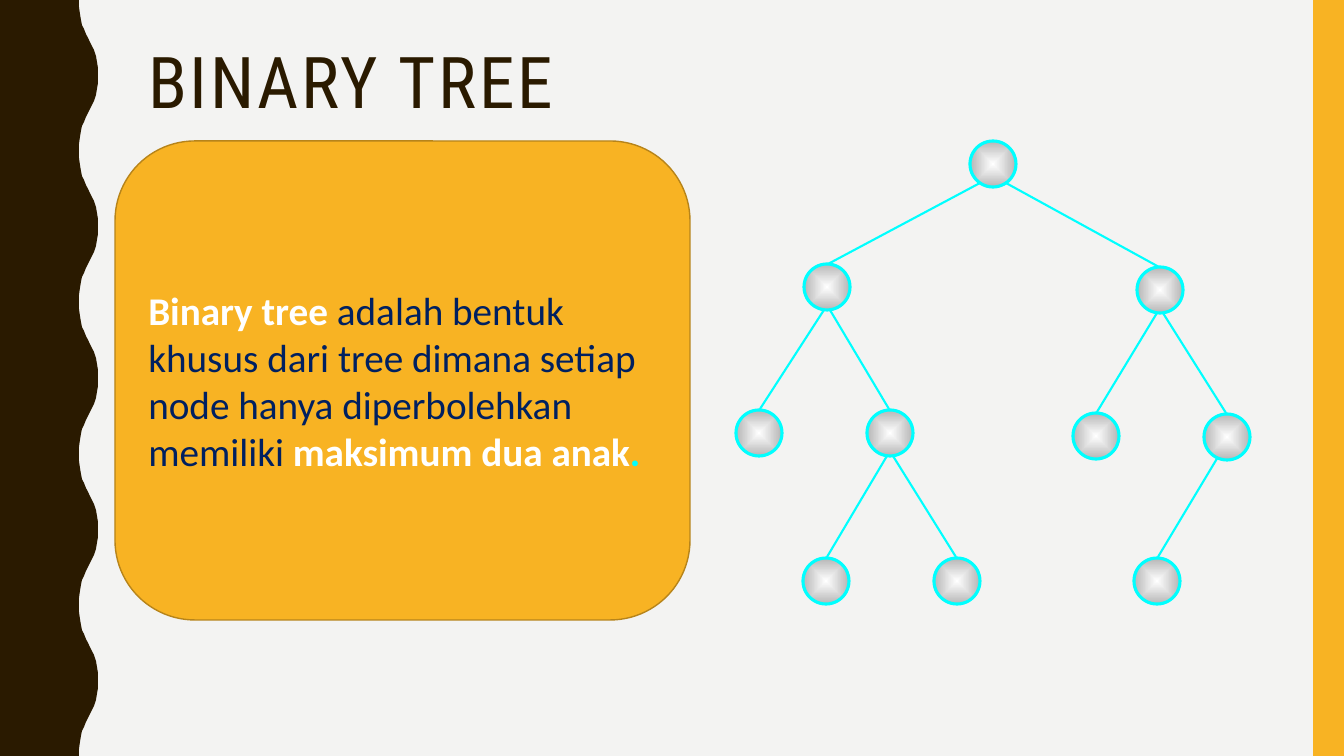
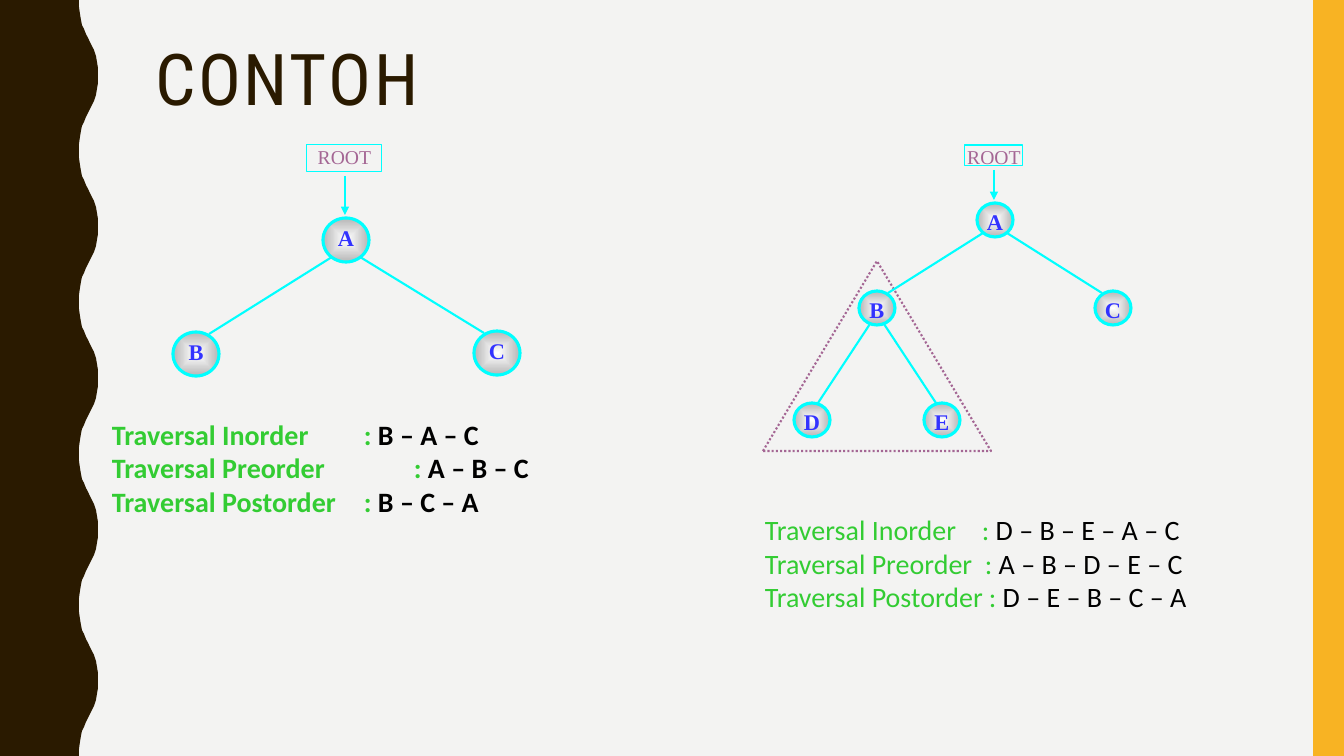
from lxml import etree
from pptx import Presentation
from pptx.dml.color import RGBColor
from pptx.enum.dml import MSO_LINE
from pptx.enum.shapes import MSO_CONNECTOR, MSO_SHAPE
from pptx.enum.text import MSO_ANCHOR, PP_ALIGN
from pptx.oxml.ns import qn
from pptx.util import Emu, Pt

OVAL, RECT, ROUNDED, TRIANGLE = (MSO_SHAPE.OVAL, MSO_SHAPE.RECTANGLE,
                                 MSO_SHAPE.ROUNDED_RECTANGLE,
                                 MSO_SHAPE.ISOSCELES_TRIANGLE)
STRAIGHT, DOTTED = MSO_CONNECTOR.STRAIGHT, MSO_LINE.ROUND_DOT
LEFT, CENTER = PP_ALIGN.LEFT, PP_ALIGN.CENTER
TOP, MIDDLE = MSO_ANCHOR.TOP, MSO_ANCHOR.MIDDLE

WIDTH, HEIGHT = 1344, 756
SCALE = 12192000 / WIDTH
TITLE_ONLY = 5

# Half a wave of the left band, from trough to crest
WAVE_X = (79, 79, 80, 81, 82, 84, 86, 88, 90, 92, 94, 96, 97, 98, 98)
WAVE_Y = (0, 7, 14, 20, 25, 29, 34, 38, 42, 46, 50, 56, 62, 68, 76)
WAVE_COUNT = 5


class Theme:
    """Colours, fonts and type sizes."""
    paper = RGBColor(0xF3, 0xF3, 0xF2)
    dark = RGBColor(0x2A, 0x1A, 0x00)
    gold = RGBColor(0xF8, 0xB3, 0x23)
    gold_edge = RGBColor(0xB7, 0x84, 0x1A)
    white = RGBColor(0xFF, 0xFF, 0xFF)
    black = RGBColor(0x00, 0x00, 0x00)
    navy = RGBColor(0x00, 0x20, 0x60)
    cyan = RGBColor(0x00, 0xFF, 0xFF)
    node_rim = RGBColor(0xB6, 0xB6, 0xB6)
    node_text = RGBColor(0x33, 0x33, 0xFF)
    mauve = RGBColor(0xA4, 0x66, 0x94)
    green = RGBColor(0x33, 0xCC, 0x33)
    head_font, body_font, label_font = "Roboto Condensed", "Calibri", "Times New Roman"
    title_size, definition_size, list_size = 51, 28, 20
    node_size, root_size = 16, 14


def px(length):
    return Emu(round(length * SCALE))


def set_all(target, values):
    for name, value in values.items():
        setattr(target, name, value)


class Deck:
    """Holds the style and the slide being drawn."""

    def __init__(self, theme):
        self.theme = theme
        self.prs = Presentation()
        set_all(self.prs, {"slide_width": px(WIDTH), "slide_height": px(HEIGHT)})
        self.layout = self.prs.slide_layouts[TITLE_ONLY]
        paper = self.prs.slide_master.background.fill
        paper.solid()
        paper.fore_color.rgb = theme.paper
        self.slide = None

    def new_slide(self, title, left, top):
        first = self.slide is None
        self.slide = self.prs.slides.add_slide(self.layout)
        if first:
            self.bands()
        heading = self.slide.shapes.title
        set_all(heading, {"left": px(left), "top": px(top),
                          "width": px(1122), "height": px(164)})
        heading.text_frame.vertical_anchor = TOP
        paragraph = heading.text_frame.paragraphs[0]
        set_all(paragraph, {"alignment": LEFT, "line_spacing": 0.9})
        self.run(paragraph, title, self.theme.dark, self.theme.title_size,
                 self.theme.head_font)
        for properties in heading.element.iter(qn("a:rPr")):
            properties.set("spc", "200")

    def bands(self):
        """Draw the side bands once and hand them to the layout."""
        period = HEIGHT / WAVE_COUNT
        half = list(zip(WAVE_X, WAVE_Y))
        wave = half + [(x, period - y) for x, y in half[-2:0:-1]]
        edge = [(x, round(n * period + y)) for n in range(WAVE_COUNT) for x, y in wave]
        builder = self.slide.shapes.build_freeform(0, 0, scale=SCALE)
        builder.add_line_segments(edge + [(WAVE_X[0], HEIGHT), (0, HEIGHT)])
        left_band = builder.convert_to_shape()
        self.paint(left_band, self.theme.dark)
        right_band = self.shape(RECT, 1313, 0, WIDTH - 1313, HEIGHT, self.theme.gold)
        for offset, band in enumerate((left_band, right_band)):
            band.element.nvSpPr.cNvPr.set("id", str(100 + offset))
            self.layout.shapes.element.insert(2 + offset, band.element)

    def paint(self, shape, fill=None, line=None, weight=1.0):
        shape.shadow.inherit = False
        if fill is None:
            shape.fill.background()
        else:
            shape.fill.solid()
            shape.fill.fore_color.rgb = fill
        if line is None:
            shape.line.fill.background()
        else:
            shape.line.color.rgb = line
            shape.line.width = Pt(weight)

    def shape(self, kind, left, top, width, height, fill=None, line=None, weight=1.0):
        shape = self.slide.shapes.add_shape(kind, px(left), px(top), px(width), px(height))
        self.paint(shape, fill, line, weight)
        return shape

    def run(self, paragraph, text, color, size, font, bold=False):
        run = paragraph.add_run()
        run.text = text
        set_all(run.font, {"name": font, "size": Pt(size), "bold": bold})
        run.font.color.rgb = color

    def label(self, shape, text, color, size, bold=False):
        frame = shape.text_frame
        set_all(frame, {"margin_left": 0, "margin_top": 0, "margin_right": 0,
                        "margin_bottom": 0, "vertical_anchor": TOP, "word_wrap": True})
        frame.paragraphs[0].alignment = CENTER
        self.run(frame.paragraphs[0], text, color, size, self.theme.label_font, bold)

    def node(self, center, size, text=""):
        (x, y), (width, height) = center, size
        node = self.shape(OVAL, x - width // 2, y - height // 2, width, height,
                          line=self.theme.cyan, weight=2.25)
        # Gradient that spreads from the middle
        node.fill.gradient()
        stops = zip(node.fill.gradient_stops, (0, 1),
                    (self.theme.white, self.theme.node_rim))
        for stop, position, color in stops:
            stop.position = position
            stop.color.rgb = color
        gradient = node.element.spPr.find(qn("a:gradFill"))
        gradient.remove(gradient.find(qn("a:lin")))
        spread = etree.SubElement(gradient, qn("a:path"), {"path": "shape"})
        etree.SubElement(spread, qn("a:fillToRect"), dict.fromkeys("ltrb", "50000"))
        if text:
            self.label(node, text, self.theme.node_text, self.theme.node_size, True)

    def line(self, start, end, arrow=False):
        line = self.slide.shapes.add_connector(STRAIGHT, *map(px, start + end))
        line.line.color.rgb = self.theme.cyan
        line.line.width = Pt(1.5)
        properties = line.element.spPr
        if arrow:
            etree.SubElement(properties.find(qn("a:ln")), qn("a:tailEnd"),
                             {"type": "triangle"})
        etree.SubElement(properties, qn("a:effectLst"))

    def tree(self, nodes, size, branches, named=True):
        """Each branch: parent, children, offset at the parent, offset at the child."""
        for name, center in nodes.items():
            self.node(center, size, name if named else "")
        for parent, children, (out_x, out_y), (in_x, in_y) in branches:
            for child in children:
                (x1, y1), (x2, y2) = nodes[parent], nodes[child]
                side = 1 if x2 > x1 else -1
                self.line((x1 + side * out_x, y1 + out_y), (x2 - side * in_x, y2 - in_y))

    def root_tag(self, left, top, width, height, arrow_x, arrow_top, arrow_end):
        tag = self.shape(RECT, left, top, width, height, line=self.theme.cyan, weight=0.75)
        self.label(tag, "ROOT", self.theme.mauve, self.theme.root_size)
        self.line((arrow_x, arrow_top), (arrow_x, arrow_end), arrow=True)

    def definition(self, left, top, width, height, parts):
        card = self.shape(ROUNDED, left, top, width, height,
                          self.theme.gold, self.theme.gold_edge)
        set_all(card.text_frame, {"word_wrap": True, "vertical_anchor": MIDDLE})
        paragraph = card.text_frame.paragraphs[0]
        paragraph.alignment = LEFT
        for text, color, bold in parts:
            self.run(paragraph, text, color, self.theme.definition_size,
                     self.theme.body_font, bold)

    def traversals(self, left, top, width, height, rows, bold=False):
        """Each row: order, visited nodes, tab stop of the colon."""
        box = self.slide.shapes.add_textbox(px(left), px(top), px(width), px(height))
        frame = box.text_frame
        set_all(frame, {"word_wrap": True, "vertical_anchor": MIDDLE})
        for index, (order, visited, _) in enumerate(rows):
            paragraph = frame.add_paragraph() if index else frame.paragraphs[0]
            for text, color in ((f"Traversal {order}\t:", self.theme.green),
                                (f" {visited}", self.theme.black)):
                self.run(paragraph, text, color, self.theme.list_size,
                         self.theme.body_font, bold)
        for element, (_, _, stop) in zip(box.element.iter(qn("a:p")), rows):
            tabs = etree.SubElement(element.get_or_add_pPr(), qn("a:tabLst"))
            etree.SubElement(tabs, qn("a:tab"), {"pos": str(px(stop)), "algn": "l"})


def binary_tree(deck):
    theme = deck.theme
    deck.new_slide("BINARY TREE", 138, 42)
    deck.definition(115, 141, 575, 479, (
        ("Binary tree ", theme.white, True),
        ("adalah bentuk khusus dari tree dimana setiap node hanya "
         "diperbolehkan memiliki ", theme.navy, False),
        ("maksimum dua anak", theme.white, True),
        (".", theme.cyan, True)))
    nodes = {"root": (993, 164), "L": (827, 287), "R": (1160, 290),
             "LL": (759, 433), "LR": (890, 433), "RL": (1096, 436), "RR": (1227, 437),
             "LRL": (826, 581), "LRR": (957, 581), "RRL": (1157, 581)}
    steep = (3, 23), (1, 24)
    deck.tree(nodes, (46, 46), (
        ("root", ("L", "R"), (13, 19), (1, 23)),
        ("L", ("LL", "LR"), *steep),
        ("R", ("RL", "RR"), *steep),
        ("LR", ("LRL", "LRR"), *steep),
        ("RR", ("RRL",), (9, 20), (1, 24))), named=False)


def examples(deck):
    deck.new_slide("CONTOH", 145, 39)

    # Three-node tree
    deck.tree({"A": (346, 240), "B": (196, 354), "C": (497, 353)}, (46, 44),
              (("A", "BC", (14, 17), (13, 20)),))
    deck.root_tag(307, 145, 75, 27, 345, 176, 215)
    deck.traversals(102, 413, 620, 109, (
        ("Inorder", "B – A – C", 252),
        ("Preorder", "A – B – C", 302),
        ("Postorder", "B – C – A", 252)), bold=True)

    # Five-node tree with its subtree marked
    subtree = deck.shape(TRIANGLE, 763, 261, 228, 190, line=deck.theme.mauve, weight=1.5)
    subtree.line.dash_style = DOTTED
    deck.tree({"A": (995, 220), "B": (877, 308), "C": (1113, 308),
               "D": (812, 420), "E": (942, 420)}, (36, 34),
              (("A", "BC", (12, 13), (11, 15)),
               ("B", "DE", (7, 16), (6, 17))))
    deck.root_tag(965, 145, 58, 21, 994, 170, 200)
    deck.traversals(755, 507, 487, 112, (
        ("Inorder", "D – B – E – A – C", 217),
        ("Preorder", "A – B – D – E – C", 220),
        ("Postorder", "D – E – B – C – A", 224)))


def main():
    deck = Deck(Theme())
    binary_tree(deck)
    examples(deck)
    deck.prs.save("out.pptx")


if __name__ == "__main__":
    main()
